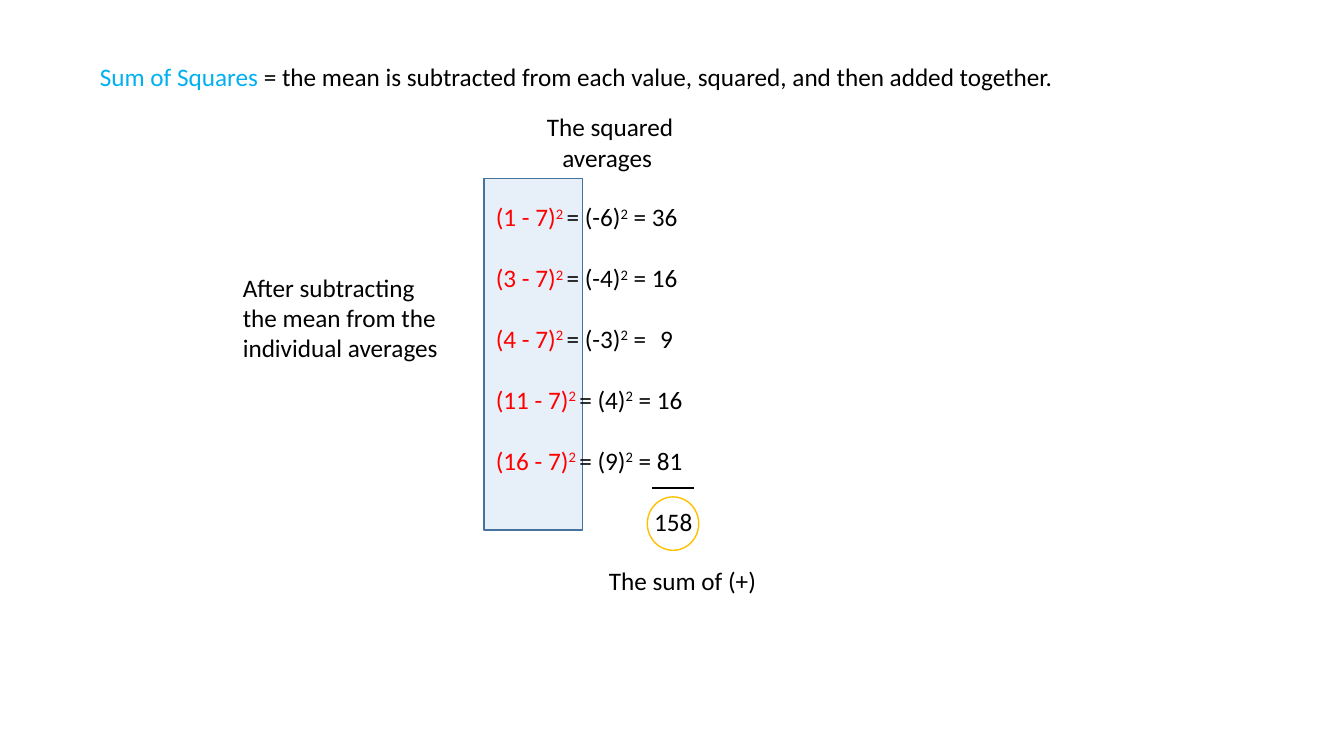
import pptx
import pptx.util
import pptx.dml.color
import pptx.enum.shapes
import pptx.enum.text
import pptx.oxml.ns
from lxml import etree

Inches = pptx.util.Inches
Pt = pptx.util.Pt
Shape = pptx.enum.shapes.MSO_SHAPE
Align = pptx.enum.text.PP_ALIGN
BLACK, RED, BLUE, GOLD = "000000", "FF0000", "00B0F0", "FFC000"
FONT = {"name": "Calibri", "size": Pt(18), "bold": False}
FRAME = {
    "margin_left": Inches(0.1), "margin_right": Inches(0.1),
    "margin_top": Inches(0.05), "margin_bottom": Inches(0.05),
    "vertical_anchor": pptx.enum.text.MSO_ANCHOR.TOP,
    "auto_size": pptx.enum.text.MSO_AUTO_SIZE.NONE,
}
ROWS = [
    ("(1 - 7)", "(-6)", " = 36"),
    ("(3 - 7)", "(-4)", " = 16"),
    ("(4 - 7)", "(-3)", " =\t9"),
    ("(11 - 7)", "(4)", " = 16"),
    ("(16 - 7)", "(9)", " = 81"),
]


def paint(color, value):
    color.rgb = pptx.dml.color.RGBColor.from_string(value)


def apply(item, values):
    for name, value in values.items():
        setattr(item, name, value)


def node(parent, tag, **values):
    return etree.SubElement(parent, pptx.oxml.ns.qn(tag), values)


def add_run(para, text, color=BLACK, raised=False):
    run = para.add_run()
    run.text = text
    apply(run.font, FONT)
    paint(run.font.color, color)
    if raised:
        run.font._element.set("baseline", "30000")


def add_text(slide, box, text="", wrap=True, align=Align.LEFT):
    frame = slide.shapes.add_textbox(*map(Inches, box)).text_frame
    apply(frame, FRAME)
    frame.word_wrap = wrap
    para = frame.paragraphs[0]
    para.alignment = align
    if text:
        add_run(para, text)
    return frame


def add_mark(slide, kind, box, line, fill=None, alpha=100):
    mark = slide.shapes.add_shape(kind, *map(Inches, box))
    mark.shadow.inherit = False
    paint(mark.line.color, line)
    mark.line.width = Pt(1)
    if fill:
        mark.fill.solid()
        paint(mark.fill.fore_color, fill)
        color = mark.fill._xPr.find(".//" + pptx.oxml.ns.qn("a:srgbClr"))
        node(color, "a:alpha", val=str(alpha * 1000))
    else:
        mark.fill.background()


def add_title(slide, box):
    title = slide.shapes.title
    places = map(Inches, box)
    apply(title, dict(zip(("left", "top", "width", "height"), places)))
    frame = title.text_frame
    apply(frame, FRAME)
    frame.word_wrap = True
    para = frame.paragraphs[0]
    para.alignment = Align.LEFT
    add_run(para, "Sum of Squares ", BLUE)
    add_run(para, "= the mean is subtracted from each value, squared, and then added together.")


def add_sums(slide, box):
    left, top, width, height = box
    add_mark(slide, Shape.RECTANGLE, (left - 0.02, top - 0.18, 0.98, 3.49),
             "43739E", "5B9BD5", 14)
    frame = add_text(slide, box, wrap=False)
    for index, (base, gap, total) in enumerate(ROWS):
        para = frame.add_paragraph() if index else frame.paragraphs[0]
        if index:
            para.space_before = Pt(21.9)
        if "\t" in total:
            tabs = node(para._p.get_or_add_pPr(), "a:tabLst")
            node(tabs, "a:tab", pos=str(Inches(1.63)), algn="l")
        add_run(para, base, RED)
        add_run(para, "2 ", RED, True)
        add_run(para, "= " + gap)
        add_run(para, "2", raised=True)
        add_run(para, total)
    para = frame.add_paragraph()
    para.space_before = Pt(21.9)
    para._p.get_or_add_pPr().set("marL", str(Inches(1.57)))
    add_run(para, "158")
    ends = (left + 2.06, top + 2.89, left + 1.65, top + 2.89)
    rule = slide.shapes.add_connector(
        pptx.enum.shapes.MSO_CONNECTOR.STRAIGHT, *map(Inches, ends))
    paint(rule.line.color, BLACK)
    rule.line.width = Pt(1.5)
    node(rule._element.spPr, "a:effectLst")
    add_mark(slide, Shape.OVAL, (left + 1.6, top + 2.98, 0.51, 0.53), GOLD)


def add_notes(slide, box):
    left, top = box[:2]
    add_text(slide, (left, top + 1.59, 2.2, 1.01),
             "After subtracting the mean from the individual averages")
    add_text(slide, (left + 2.95, top, 1.58, 0.71),
             "The squared averages ", align=Align.CENTER)
    add_text(slide, (left + 3.63, top + 4.5, 1.68, 0.4),
             "The sum of (+)", wrap=False)


def main():
    deck = pptx.Presentation()
    deck.slide_width, deck.slide_height = Inches(13.33), Inches(7.5)
    slide = deck.slides.add_slide(deck.slide_layouts[5])
    add_title(slide, (0.89, 0.56, 10.32, 0.4))
    add_sums(slide, (4.82, 1.95, 2.23, 3.43))
    add_notes(slide, (2.31, 1.06, 5.31, 4.9))
    deck.save("out.pptx")


if __name__ == "__main__":
    main()
